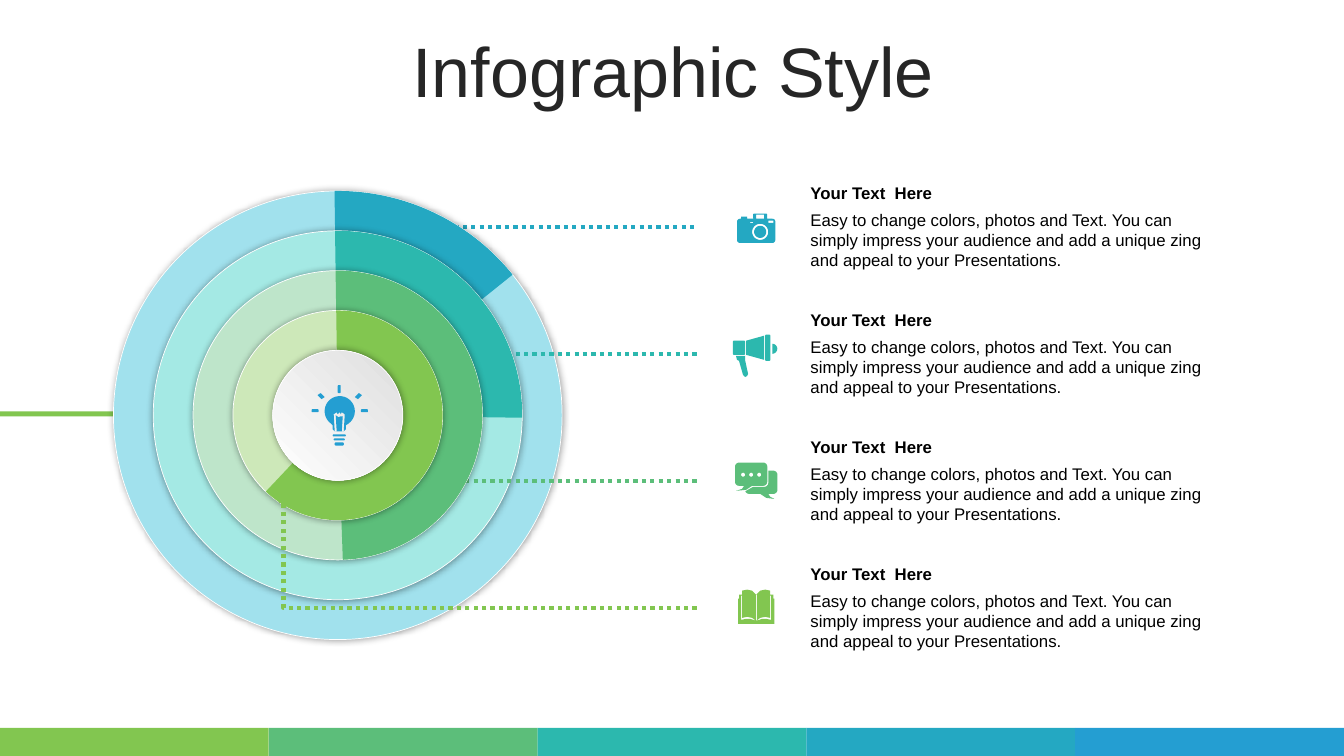
from dataclasses import dataclass
from math import cos, radians, sin

from lxml.etree import SubElement
from pptx import Presentation
from pptx.dml.color import RGBColor
from pptx.enum.dml import MSO_LINE
from pptx.enum.shapes import MSO_CONNECTOR as CONNECTOR, MSO_SHAPE as SHAPE
from pptx.enum.text import MSO_ANCHOR, MSO_AUTO_SIZE, PP_ALIGN
from pptx.oxml.ns import qn
from pptx.util import Inches, Pt

COLORS = {
    "lime": "82C650", "green": "5CBE7A", "teal": "2CB8AE", "cyan": "24A8C2", "blue": "249ED2",
    "pale_lime": "CDE8B9", "pale_green": "BEE5CA", "pale_teal": "A4E9E4", "pale_cyan": "A1E1ED",
    "white": "FFFFFF", "silver": "DEDEDE", "black": "000000", "title": "262626",
}
FONT = "Arial"
HEADING = "Your Text  Here"
DETAIL = ("Easy to change colors, photos and Text. You can simply impress your audience "
          "and add a unique zing and appeal to your Presentations.")
SLIDE_WIDTH, SLIDE_HEIGHT = 13.33, 7.5
CENTER_X, CENTER_Y = 3.35, 4.12
OUTER_DIAMETER, RING_STEP = 4.45, 0.79
TOPIC_TOP, TOPIC_STEP = 1.76, 1.26
LEADER_OFFSET, LEADER_END = 0.49, 6.91
PIE_START = 161.5

Contour = list[tuple[float, float]]


@dataclass
class Topic:
    color: str
    track: str
    pie_end: float
    leader_start: float
    icon: list[Contour]


def arc(cx: float, cy: float, radius: float, start: float, stop: float, steps: int = 8) -> Contour:
    angles = [radians(start + (stop - start) * i / steps) for i in range(steps + 1)]
    return [(cx + radius * cos(a), cy + radius * sin(a)) for a in angles]


def circle(cx: float, cy: float, radius: float) -> Contour:
    return arc(cx, cy, radius, 0, 360, 32)


def box(x: float, y: float, width: float, height: float, radius: float = 0) -> Contour:
    right, bottom = x + width - radius, y + height - radius
    corners = [(x + radius, y + radius, 180), (right, y + radius, 270),
               (right, bottom, 0), (x + radius, bottom, 90)]
    return [point for cx, cy, start in corners for point in arc(cx, cy, radius, start, start + 90)]


def mirror(contour: Contour, axis: float) -> Contour:
    return [(2 * axis - x, y) for x, y in reversed(contour)]


CAMERA = [
    box(7.31, 2.17, 0.38, 0.24, 0.03), box(7.35, 2.15, 0.06, 0.02),
    box(7.47, 2.12, 0.14, 0.05, 0.01), box(7.5, 2.13, 0.08, 0.04),
    circle(7.54, 2.3, 0.08), circle(7.54, 2.3, 0.06),
    box(7.44, 2.2, 0.03, 0.01), box(7.62, 2.19, 0.05, 0.02),
]
MEGAPHONE = [
    [(7.3, 3.53), (7.39, 3.53), (7.39, 3.57), (7.42, 3.71), (7.41, 3.73), (7.39, 3.74),
     (7.37, 3.72), (7.33, 3.58), (7.31, 3.57)],
    box(7.27, 3.38, 0.12, 0.14, 0.01),
    [(7.58, 3.33), (7.58, 3.57), (7.4, 3.52), (7.4, 3.38)],
    box(7.59, 3.32, 0.05, 0.26, 0.01),
    arc(7.66, 3.46, 0.05, -90, 90),
]
CHAT = [
    box(7.29, 4.59, 0.32, 0.23, 0.04),
    [(7.38, 4.82), (7.46, 4.82), (7.4, 4.86), (7.3, 4.87), (7.36, 4.85)],
    [(7.62, 4.67), *arc(7.67, 4.71, 0.04, -90, 0), *arc(7.67, 4.86, 0.04, 0, 90),
     (7.62, 4.9), (7.64, 4.93), (7.68, 4.95), (7.6, 4.94), (7.54, 4.9),
     *arc(7.43, 4.86, 0.04, 90, 160), (7.47, 4.83), *arc(7.58, 4.79, 0.04, 90, 0)],
    *[circle(7.37 + 0.08 * i, 4.71, 0.02) for i in range(3)],
]
BOOK_HALF = [(7.32, 6.19), (7.32, 5.94), (7.33, 5.94), (7.33, 5.9), (7.36, 5.9), (7.36, 5.86),
             (7.41, 5.85), (7.46, 5.86), (7.5, 5.9)]
BOOK_PAGE = [(7.35, 5.91), (7.36, 5.91), (7.36, 6.13), (7.41, 6.12), (7.46, 6.13), (7.5, 6.16),
             (7.44, 6.14), (7.4, 6.14), (7.35, 6.15)]
BOOK = [BOOK_HALF + mirror(BOOK_HALF, 7.5), BOOK_PAGE, mirror(BOOK_PAGE, 7.5),
        box(7.5, 5.9, 0.01, 0.26)]
BULB_AXIS = 3.37
BULB_RAY = [(3.56, 3.9), (3.59, 3.92), (3.55, 3.96), (3.52, 3.94)]
BULB = [
    [*arc(BULB_AXIS, 4.08, 0.15, 125, 415, 32), (3.43, 4.22), (3.43, 4.26), (3.41, 4.28),
     (3.32, 4.28), (3.3, 4.26), (3.3, 4.22)],
    [(3.31, 4.11), (3.34, 4.09), (3.35, 4.11), (3.37, 4.09), (3.38, 4.11), (3.39, 4.09),
     (3.42, 4.11), (3.41, 4.28), (3.39, 4.28), (3.4, 4.13), (3.38, 4.13), (3.36, 4.14),
     (3.33, 4.12), (3.34, 4.28), (3.32, 4.28)],
    box(3.3, 4.31, 0.13, 0.02, 0.01), box(3.31, 4.35, 0.11, 0.02, 0.01),
    box(3.32, 4.39, 0.09, 0.03, 0.01),
    box(3.09, 4.06, 0.07, 0.03, 0.01), box(3.58, 4.06, 0.07, 0.03, 0.01),
    box(3.35, 3.82, 0.03, 0.08, 0.01),
    BULB_RAY, mirror(BULB_RAY, BULB_AXIS),
]
TOPICS = [
    Topic("cyan", "pale_cyan", 192.71, 4.34, CAMERA),
    Topic("teal", "pale_teal", 0.46, 4.53, MEGAPHONE),
    Topic("green", "pale_green", 52.78, 4.53, CHAT),
    Topic("lime", "pale_lime", 79.99, 2.77, BOOK),
]


def rgb(color: str) -> RGBColor:
    return RGBColor.from_string(COLORS[color])


def paint(shape, color: str) -> None:
    shape.shadow.inherit = False
    shape.fill.solid()
    shape.fill.fore_color.rgb = rgb(color)
    shape.line.fill.background()


def add_filled(slide, kind: SHAPE, x: float, y: float, width: float, height: float, color: str):
    shape = slide.shapes.add_shape(kind, Inches(x), Inches(y), Inches(width), Inches(height))
    paint(shape, color)
    return shape


def add_round(slide, kind: SHAPE, diameter: float, color: str):
    return add_filled(slide, kind, CENTER_X - diameter / 2, CENTER_Y - diameter / 2,
                      diameter, diameter, color)


def add_disc(slide, diameter: float, color: str):
    disc = add_round(slide, SHAPE.OVAL, diameter, color)
    disc.line.color.rgb = rgb("white")
    disc.line.width = Pt(0.5)
    effects = disc.element.spPr.find(qn("a:effectLst"))
    glow = SubElement(effects, qn("a:outerShdw"), blurRad=str(Pt(5)), dist="0", dir="0",
                      algn="ctr", rotWithShape="0")
    tint = SubElement(glow, qn("a:srgbClr"), val=COLORS["black"])
    SubElement(tint, qn("a:alpha"), val="40000")
    return disc


def add_leader(slide, kind: CONNECTOR, start: tuple[float, float], end: tuple[float, float],
               color: str):
    leader = slide.shapes.add_connector(kind, *map(Inches, start + end))
    leader.line.color.rgb = rgb(color)
    leader.line.width = Pt(3)
    leader.line.dash_style = MSO_LINE.ROUND_DOT
    SubElement(leader.element.spPr, qn("a:effectLst"))
    return leader


def add_icon(slide, contours: list[Contour], color: str) -> None:
    first, *others = [[(Inches(x), Inches(y)) for x, y in contour] for contour in contours]
    builder = slide.shapes.build_freeform(*first[0])
    builder.add_line_segments(first[1:])
    for contour in others:
        builder.move_to(*contour[0])
        builder.add_line_segments(contour[1:])
    paint(builder.convert_to_shape(), color)


def add_text(slide, top: float, height: float, text: str, bold: bool) -> None:
    frame = slide.shapes.add_textbox(Inches(7.94), Inches(top), Inches(4.19),
                                     Inches(height)).text_frame
    frame.word_wrap = True
    frame.text = text
    font = frame.paragraphs[0].font
    font.name, font.size, font.bold = FONT, Pt(12), bold
    font.color.rgb = rgb("black")


def add_title(slide) -> None:
    title = slide.shapes.title
    title.left, title.top, title.width, title.height = map(Inches, (0.35, 0.37, 12.66, 0.79))
    frame = title.text_frame
    frame.text = "Infographic Style"
    frame.auto_size = MSO_AUTO_SIZE.NONE
    frame.vertical_anchor = MSO_ANCHOR.MIDDLE
    line = frame.paragraphs[0]
    line.alignment, line.line_spacing, line.space_before = PP_ALIGN.CENTER, 0.8, Pt(0)
    line.font.name, line.font.size = FONT, Pt(50)
    line.font.color.rgb = rgb("title")


def main() -> None:
    deck = Presentation()
    deck.slide_width, deck.slide_height = Inches(SLIDE_WIDTH), Inches(SLIDE_HEIGHT)
    slide = deck.slides.add_slide(deck.slide_layouts[5])
    add_title(slide)

    stripes = ["lime", "green", "teal", "cyan", "blue"]
    stripe_width = SLIDE_WIDTH / len(stripes)
    for i, color in enumerate(stripes):
        add_filled(slide, SHAPE.RECTANGLE, i * stripe_width, 7.22, stripe_width, 0.28, color)
    add_filled(slide, SHAPE.RECTANGLE, 0, 4.08, 1.93, 0.05, "lime")

    for i, topic in enumerate(TOPICS):
        top = TOPIC_TOP + i * TOPIC_STEP
        diameter = OUTER_DIAMETER - i * RING_STEP
        leader_y = top + LEADER_OFFSET
        if topic is not TOPICS[-1]:
            add_leader(slide, CONNECTOR.STRAIGHT, (topic.leader_start, leader_y),
                       (LEADER_END, leader_y), topic.color)
        add_disc(slide, diameter, topic.track)
        sector = add_round(slide, SHAPE.PIE, diameter, topic.color)
        sector.adjustments[0], sector.adjustments[1] = PIE_START, topic.pie_end
        add_text(slide, top, 0.3, HEADING, True)
        add_text(slide, top + 0.27, 0.71, DETAIL, False)
        add_icon(slide, topic.icon, topic.color)

    hub = add_disc(slide, OUTER_DIAMETER - len(TOPICS) * RING_STEP, "white")
    hub.fill.gradient()
    hub.fill.gradient_angle = 225
    for stop, color in zip(hub.fill.gradient_stops, ["silver", "white"]):
        stop.color.rgb = rgb(color)
    add_icon(slide, BULB, "blue")

    elbow = add_leader(slide, CONNECTOR.ELBOW, (LEADER_END, leader_y),
                       (topic.leader_start, 4.97), topic.color)
    bend = elbow.element.spPr.find(f".//{qn('a:avLst')}")
    SubElement(bend, qn("a:gd"), name="adj1", fmla="val 99000")
    deck.save("out.pptx")


if __name__ == "__main__":
    main()
